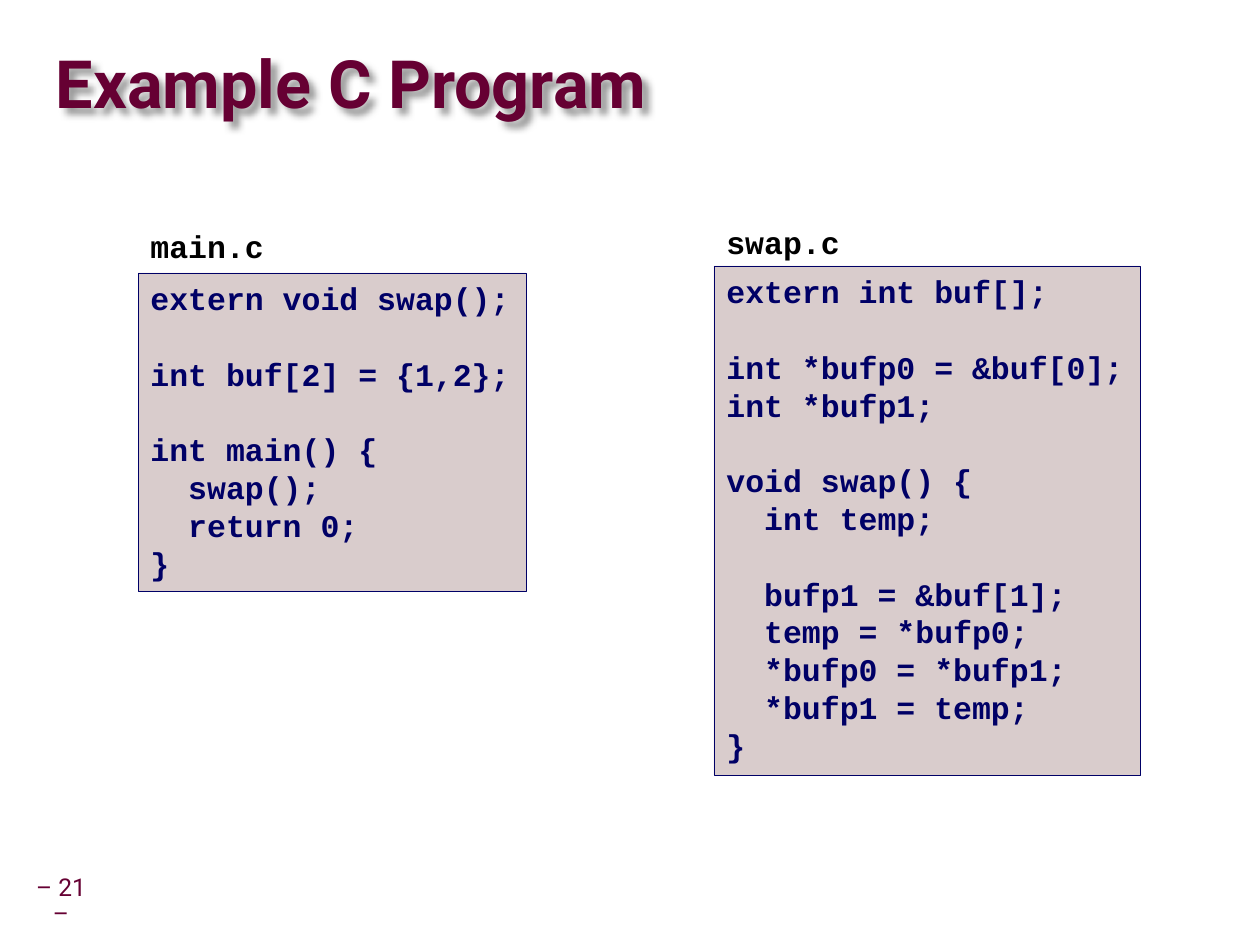
import pptx
import pptx.util
import pptx.dml.color
import pptx.enum.shapes
import pptx.enum.text
import pptx.oxml

PX = 914400 // 126
MAROON, NAVY, BLACK, WHITE, PANEL = "660033", "000066", "000000", "FFFFFF", "D9CCCC"
SANS, MONO = "Roboto", "Courier New"

TITLE = "Example C Program"
PAGE_NUMBER = "– 21 –"

MAIN_C = """extern void swap();

int buf[2] = {1,2};

int main() {
  swap();
  return 0;
}"""

SWAP_C = """extern int buf[];

int *bufp0 = &buf[0];
int *bufp1;

void swap() {
  int temp;

  bufp1 = &buf[1];
  temp = *bufp0;
  *bufp0 = *bufp1;
  *bufp1 = temp;
}"""

# file name, code, left, label top, code top, code width, code height
FILES = [
    ("main.c", MAIN_C, 138, 221, 273, 388, 318),
    ("swap.c", SWAP_C, 714, 217, 266, 426, 509),
]
LABEL_W, LABEL_H = 140, 50

SHADOW = (
    '<a:effectLst xmlns:a="http://schemas.openxmlformats.org/drawingml/2006/main">'
    '<a:outerShdw blurRad="50800" dist="53882" dir="2700000" algn="ctr" rotWithShape="0">'
    '<a:srgbClr val="000000"><a:alpha val="40000"/></a:srgbClr>'
    '</a:outerShdw></a:effectLst>'
)


def rgb(value):
    return pptx.dml.color.RGBColor.from_string(value)


def box(px):
    return [v * PX for v in px]


def write(tf, lines, size, font, color, bold=False, spacing=None, align="LEFT"):
    for i, line in enumerate(lines):
        p = tf.paragraphs[0] if i == 0 else tf.add_paragraph()
        p.alignment = getattr(pptx.enum.text.PP_ALIGN, align)
        if spacing:
            p.line_spacing = spacing
        r = p.add_run()
        r.text = line or " "  # a blank code line keeps its height
        r.font.size = pptx.util.Pt(size)
        r.font.name = font
        r.font.bold = bold
        r.font.color.rgb = rgb(color)


def add_text(slide, px, text, size, **style):
    sp = slide.shapes.add_textbox(*box(px))
    tf = sp.text_frame
    tf.word_wrap = True
    tf.vertical_anchor = pptx.enum.text.MSO_ANCHOR.MIDDLE
    tf.margin_left = tf.margin_right = tf.margin_top = tf.margin_bottom = 0
    write(tf, [text], size, SANS, MAROON, **style)
    return sp


def add_panel(slide, px, lines, color, fill, line):
    sp = slide.shapes.add_shape(pptx.enum.shapes.MSO_SHAPE.RECTANGLE, *box(px))
    sp.shadow.inherit = False
    if fill:
        sp.fill.solid()
        sp.fill.fore_color.rgb = rgb(fill)
    else:
        sp.fill.background()
    sp.line.color.rgb = rgb(line)
    sp.line.width = pptx.util.Pt(0.25)
    tf = sp.text_frame
    tf.word_wrap = False
    tf.vertical_anchor = pptx.enum.text.MSO_ANCHOR.TOP
    write(tf, lines, 18, MONO, color, bold=True)


def main():
    prs = pptx.Presentation()
    prs.slide_width, prs.slide_height = box((1260, 945))
    slide = prs.slides.add_slide(prs.slide_layouts[6])

    # Page number, wrapping onto a second line
    add_text(slide, (34, 882, 54, 39), PAGE_NUMBER, 14, spacing=0.9, align="CENTER")

    # Title with a soft shadow
    title = add_text(slide, (56, 34, 1200, 107), TITLE, 38, bold=True, spacing=0.87)
    title._element.spPr.append(pptx.oxml.parse_xml(SHADOW))

    # Source files: name above a code panel
    for name, code, left, label_top, top, width, height in FILES:
        add_panel(slide, (left, label_top, LABEL_W, LABEL_H), [name], BLACK, None, WHITE)
        add_panel(slide, (left, top, width, height), code.split("\n"), NAVY, PANEL, NAVY)

    prs.save("out.pptx")


if __name__ == "__main__":
    main()
